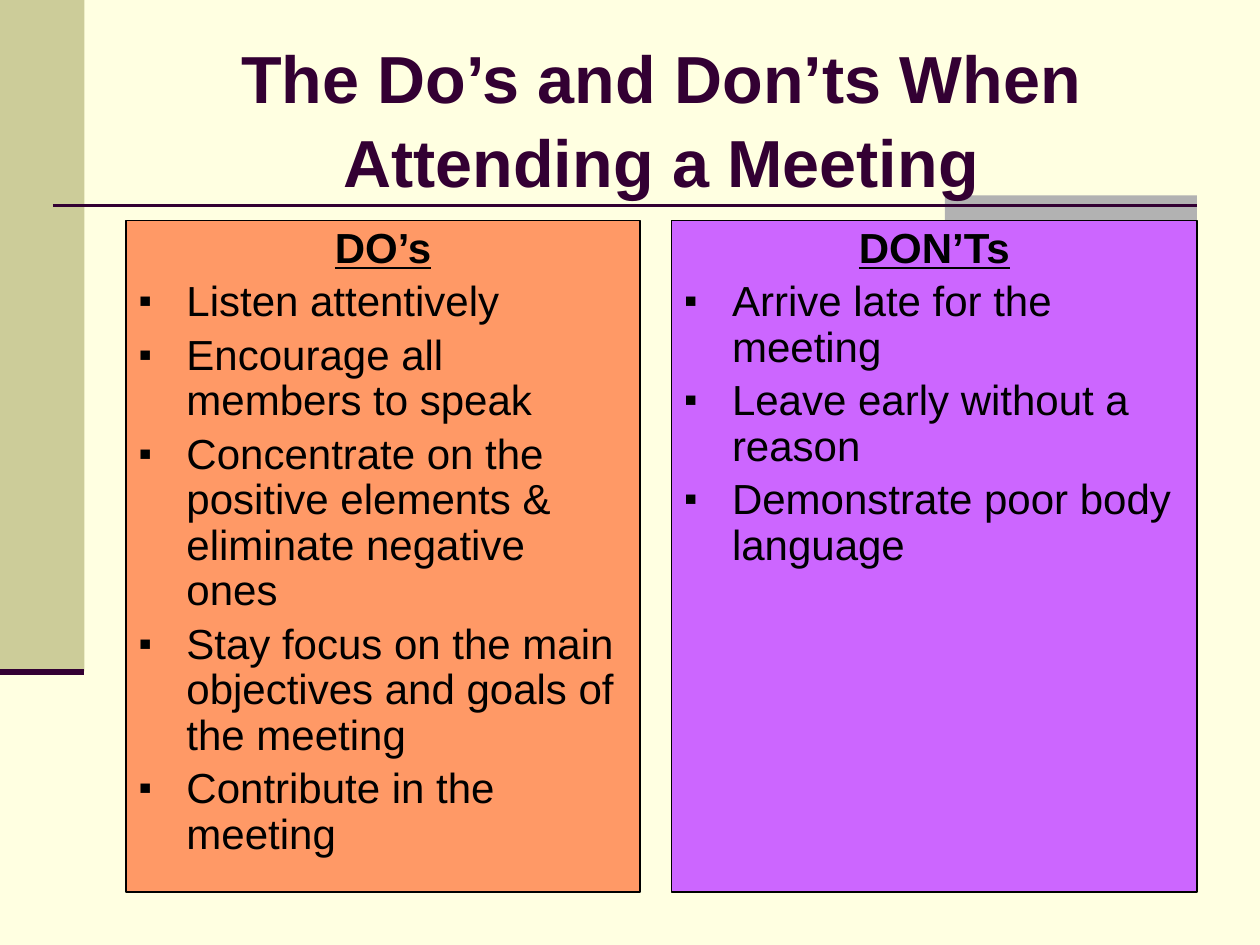
import pptx
import pptx.util
import pptx.dml.color
import pptx.enum.shapes
import pptx.enum.text
import pptx.oxml
import pptx.oxml.ns
from pptx.util import Inches

COLORS = {"bg": "FFFFE1", "olive": "CCCC99", "gray": "B2B2B2", "plum": "330033",
          "orange": "FF9966", "violet": "CC66FF", "black": "000000"}
DOS = ["Listen attentively", "Encourage all members to speak",
       "Concentrate on the positive elements & eliminate negative ones",
       "Stay focus on the main objectives and goals of the meeting",
       "Contribute in the meeting"]
DONTS = ["Arrive late for the meeting", "Leave early without a reason",
         "Demonstrate poor body language"]


def rgb(name):
    """Return the named colour."""
    return pptx.dml.color.RGBColor.from_string(COLORS[name])


def child(parent, tag, **attrs):
    """Append a DrawingML element with attributes."""
    el = pptx.oxml.parse_xml(f"<a:{tag} {pptx.oxml.ns.nsdecls('a')}/>")
    for key, value in attrs.items():
        el.set(key, value)
    parent.append(el)
    return el


def write(p, text, size=24, color="black", bold=False, underline=False,
          center=False, spacing=0.9, before=4.8):
    """Write formatted text into a paragraph."""
    align = pptx.enum.text.PP_ALIGN
    p.alignment = align.CENTER if center else align.LEFT
    p.line_spacing = spacing
    p.space_before = pptx.util.Pt(before)
    r = p.add_run()
    r.text = text
    f = r.font
    f.name, f.size, f.bold, f.underline = "Arial", pptx.util.Pt(size), bold, underline
    f.color.rgb = rgb(color)


def set_bullet(p, char=None):
    """Set a hanging indent with an optional bullet."""
    pPr = p._p.get_or_add_pPr()
    pPr.set("marL", str(Inches(0.38)))
    pPr.set("indent", str(-Inches(0.38)))
    if char is None:
        child(pPr, "buNone")
        return
    child(child(pPr, "buClr"), "srgbClr", val=COLORS["black"])
    child(pPr, "buSzPct", val="90000")
    child(pPr, "buFont", typeface="Arial")
    child(pPr, "buChar", char=char)


def add_block(s, x, y, w, h, color):
    """Add a plain filled rectangle."""
    sp = s.shapes.add_shape(pptx.enum.shapes.MSO_SHAPE.RECTANGLE,
                            Inches(x), Inches(y), Inches(w), Inches(h))
    sp.shadow.inherit = False
    sp.fill.solid()
    sp.fill.fore_color.rgb = rgb(color)
    sp.line.fill.background()


def add_rule(s, x1, x2, y, width):
    """Add a horizontal plum line."""
    line = s.shapes.add_connector(pptx.enum.shapes.MSO_CONNECTOR.STRAIGHT,
                                  Inches(x1), Inches(y), Inches(x2), Inches(y))
    line.line.color.rgb = rgb("plum")
    line.line.width = pptx.util.Pt(width)
    child(line._element.spPr, "effectLst")


def place(sp, x, y, w, h, anchor):
    """Bring a placeholder to the front, position it and return its text frame."""
    sp.left, sp.top, sp.width, sp.height = map(Inches, (x, y, w, h))
    sp.element.getparent().append(sp.element)
    tf = sp.text_frame
    tf.word_wrap = True
    tf.auto_size = pptx.enum.text.MSO_AUTO_SIZE.NONE
    tf.vertical_anchor = anchor
    return tf


def fill_panel(sp, x, w, color, heading, items):
    """Format a body placeholder as a coloured list panel."""
    tf = place(sp, x, 1.75, w, 5.33, pptx.enum.text.MSO_ANCHOR.TOP)
    sp.fill.solid()
    sp.fill.fore_color.rgb = rgb(color)
    sp.line.color.rgb = rgb("black")
    sp.line.width = pptx.util.Pt(0.75)
    p = tf.paragraphs[0]
    write(p, heading, bold=True, underline=True, center=True)
    set_bullet(p)
    for item in items:
        p = tf.add_paragraph()
        write(p, item)
        set_bullet(p, "▪")


def main():
    """Build and save the slide."""
    prs = pptx.Presentation()
    prs.slide_width, prs.slide_height = Inches(10), Inches(7.5)
    s = prs.slides.add_slide(prs.slide_layouts[3])
    s.background.fill.solid()
    s.background.fill.fore_color.rgb = rgb("bg")
    title, left, right = list(s.placeholders)
    add_block(s, 0, 0, 0.67, 5.33, "olive")
    add_block(s, 7.5, 1.55, 2, 0.2, "gray")
    add_rule(s, 0.42, 9.5, 1.63, 1.5)
    add_rule(s, 0, 0.67, 5.33, 3.5)
    tf = place(title, 1, 0.3, 8.5, 1.25, pptx.enum.text.MSO_ANCHOR.MIDDLE)
    write(tf.paragraphs[0], "The Do’s and Don’ts When Attending a Meeting", size=38,
          color="plum", bold=True, center=True, spacing=1.05, before=0)
    fill_panel(left, 1, 4.08, "orange", "DO’s", DOS)
    fill_panel(right, 5.33, 4.17, "violet", "DON’Ts", DONTS)
    prs.save("out.pptx")


main()
